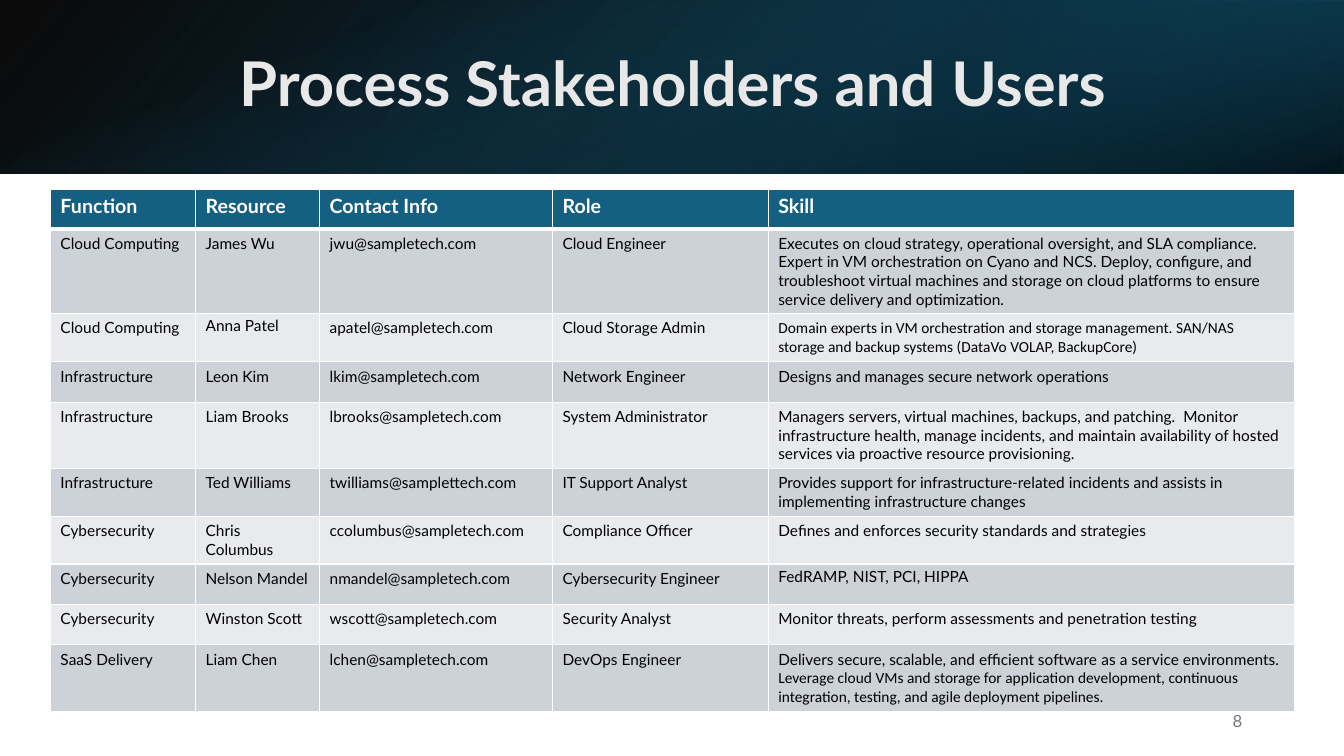
from pptx import Presentation
from pptx.dml.color import RGBColor
from pptx.enum.shapes import MSO_SHAPE
from pptx.enum.text import MSO_ANCHOR, PP_ALIGN
from pptx.oxml import parse_xml
from pptx.oxml.ns import nsdecls
from pptx.util import Inches, Pt

RECT = MSO_SHAPE.RECTANGLE
MIDDLE = MSO_ANCHOR.MIDDLE
CENTER, RIGHT = PP_ALIGN.CENTER, PP_ALIGN.RIGHT

# Content
TITLE = "Process Stakeholders and\u00a0Users"
PAGE = "8"
HEADERS = ("Function", "Resource", "Contact Info", "Role", "Skill")
PEOPLE = [
    ("Cloud Computing", "James Wu", "jwu@sampletech.com", "Cloud Engineer",
     "Executes on cloud strategy, operational oversight, and SLA compliance. "
     "Expert in VM orchestration on Cyano and NCS. Deploy, configure, and "
     "troubleshoot virtual machines and storage on cloud platforms to ensure "
     "service delivery and optimization."),
    ("Cloud Computing", "Anna Patel", "apatel@sampletech.com", "Cloud Storage Admin",
     "Domain experts in VM orchestration and storage management. SAN/NAS "
     "storage and backup systems (DataVo VOLAP, BackupCore)"),
    ("Infrastructure", "Leon Kim", "lkim@sampletech.com", "Network Engineer",
     "Designs and manages secure network operations"),
    ("Infrastructure", "Liam Brooks", "lbrooks@sampletech.com", "System Administrator",
     "Managers servers, virtual machines, backups, and patching.  Monitor "
     "infrastructure health, manage incidents, and maintain availability of "
     "hosted services via proactive resource provisioning."),
    ("Infrastructure", "Ted Williams", "twilliams@samplettech.com", "IT Support Analyst",
     "Provides support for infrastructure-related incidents and assists in "
     "implementing infrastructure changes"),
    ("Cybersecurity", "Chris Columbus", "ccolumbus@sampletech.com", "Compliance Officer",
     "Defines and enforces security standards and strategies"),
    ("Cybersecurity", "Nelson Mandel", "nmandel@sampletech.com", "Cybersecurity Engineer",
     "FedRAMP,\u00a0NIST,\u00a0PCI, HIPPA"),
    ("Cybersecurity", "Winston Scott", "wscott@sampletech.com", "Security Analyst",
     "Monitor threats, perform assessments and penetration testing"),
    ("SaaS Delivery", "Liam Chen", "lchen@sampletech.com", "DevOps Engineer",
     "Delivers secure, scalable, and efficient software\u00a0as a service environments. "),
]
CHEN_MORE = ("Leverage cloud VMs and storage for application development, continuous "
             "integration, testing, and agile deployment pipelines.")
ANNA_ROW, MANDEL_ROW, CHEN_ROW = 2, 7, 9
RESOURCE, SKILL = 1, 4

THEME = {
    "font": "Lato", "alt_font": "Calibri",
    "title": "E8E8E8", "header": "156082", "header_text": "FFFFFF",
    "body_text": "000000", "stripes": ("E8EAED", "CCD2D8"),
    "border": "FFFFFF", "page": "797979",
    "title_size": 44, "header_size": 14, "body_size": 11, "page_size": 12,
}

# Banner layers: left, top, width, height, rotation, flipped, angle,
# gradient stops as (position %, colour, opacity %)
BANNER = [
    (0, 0, 13.33, 1.72, 0, True, 140, [(0, "000000", 96), (100, "104862", 100)]),
    (8.89, 0, 4.44, 1.72, 180, True, 320, [(19, "0B3041", 68), (100, "156082", 79)]),
    (5.8, -5.8, 1.72, 13.33, 90, False, 340, [(23, "156082", 0), (99, "000000", 74)]),
]
COL_WIDTHS = (1.44, 1.23, 2.31, 2.14, 5.22)
ROW_HEIGHTS = (0.39, 0.83, 0.48, 0.4, 0.65, 0.48, 0.47, 0.4, 0.4, 0.66)


def style_run(r, size, color, bold=False, font=THEME["font"]):
    r.font.name = font
    r.font.size = Pt(size)
    r.font.bold = bold
    r.font.color.rgb = RGBColor.from_string(color)


def add_layer(slide, left, top, width, height, rotation, flipped, angle, stops):
    s = slide.shapes.add_shape(RECT, Inches(left), Inches(top), Inches(width), Inches(height))
    s.shadow.inherit = False
    s.line.fill.background()
    s.rotation = rotation
    props = s._element.spPr
    if flipped:
        props.xfrm.set("flipH", "1")
    stops_xml = "".join(
        f'<a:gs pos="{pos * 1000}"><a:srgbClr val="{color}">'
        f'<a:alpha val="{opacity * 1000}"/></a:srgbClr></a:gs>'
        for pos, color, opacity in stops)
    props.prstGeom.addnext(parse_xml(
        f'<a:gradFill {nsdecls("a")} rotWithShape="1"><a:gsLst>{stops_xml}</a:gsLst>'
        f'<a:lin ang="{angle * 60000}" scaled="0"/></a:gradFill>'))


def set_borders(cell, top, bottom):
    props = cell._tc.get_or_add_tcPr()
    widths = (("lnL", 1), ("lnR", 1), ("lnT", top), ("lnB", bottom))
    for i, (side, width) in enumerate(widths):
        props.insert(i, parse_xml(
            f'<a:{side} {nsdecls("a")} w="{Pt(width)}"><a:solidFill>'
            f'<a:srgbClr val="{THEME["border"]}"/></a:solidFill></a:{side}>'))


def fill_cell(cell, text, row):
    cell.text_frame.text = text
    r = cell.text_frame.paragraphs[0].runs[0]
    if row == 0:
        style_run(r, THEME["header_size"], THEME["header_text"], True)
        color = THEME["header"]
    else:
        style_run(r, THEME["body_size"], THEME["body_text"])
        color = THEME["stripes"][row % 2]
    cell.fill.solid()
    cell.fill.fore_color.rgb = RGBColor.from_string(color)
    set_borders(cell, 3 if row == 1 else 1, 3 if row == 0 else 1)


def main():
    prs = Presentation()
    prs.slide_width, prs.slide_height = Inches(13.33), Inches(7.5)
    slide = prs.slides.add_slide(prs.slide_layouts[5])

    # Banner
    for layer in BANNER:
        add_layer(slide, *layer)

    # Title, brought in front of the banner
    title = slide.shapes.title
    slide.shapes._spTree.append(title._element)
    title.left, title.top = Inches(1.18), Inches(0.38)
    title.width, title.height = Inches(10.98), Inches(0.96)
    tf = title.text_frame
    tf.text = TITLE
    tf.vertical_anchor = MIDDLE
    p = tf.paragraphs[0]
    p.alignment, p.line_spacing = CENTER, 0.9
    style_run(p.runs[0], THEME["title_size"], THEME["title"], True)

    # Stakeholder table
    rows = [HEADERS] + PEOPLE
    table = slide.shapes.add_table(
        len(rows), len(HEADERS), Inches(0.5), Inches(1.88),
        Inches(sum(COL_WIDTHS)), Inches(sum(ROW_HEIGHTS))).table
    for col, width in zip(table.columns, COL_WIDTHS):
        col.width = Inches(width)
    for i, (values, height) in enumerate(zip(rows, ROW_HEIGHTS)):
        table.rows[i].height = Inches(height)
        for j, text in enumerate(values):
            fill_cell(table.cell(i, j), text, i)

    # Cells with their own formatting
    anna = table.cell(ANNA_ROW, RESOURCE)
    anna.margin_top = anna.margin_bottom = Inches(0.03)
    table.cell(ANNA_ROW, SKILL).text_frame.paragraphs[0].runs[0].font.name = THEME["alt_font"]
    p = table.cell(MANDEL_ROW, SKILL).text_frame.paragraphs[0]
    p.line_spacing, p.space_before = 0.9, Pt(5)
    r = table.cell(CHEN_ROW, SKILL).text_frame.paragraphs[0].add_run()
    r.text = CHEN_MORE
    style_run(r, THEME["body_size"], THEME["body_text"], font=THEME["alt_font"])

    # Page number
    tf = slide.shapes.add_textbox(Inches(9.42), Inches(6.95), Inches(3), Inches(0.4)).text_frame
    tf.word_wrap = True
    tf.vertical_anchor = MIDDLE
    tf.text = PAGE
    p = tf.paragraphs[0]
    p.alignment = RIGHT
    style_run(p.runs[0], THEME["page_size"], THEME["page"])

    prs.save("out.pptx")


if __name__ == "__main__":
    main()
